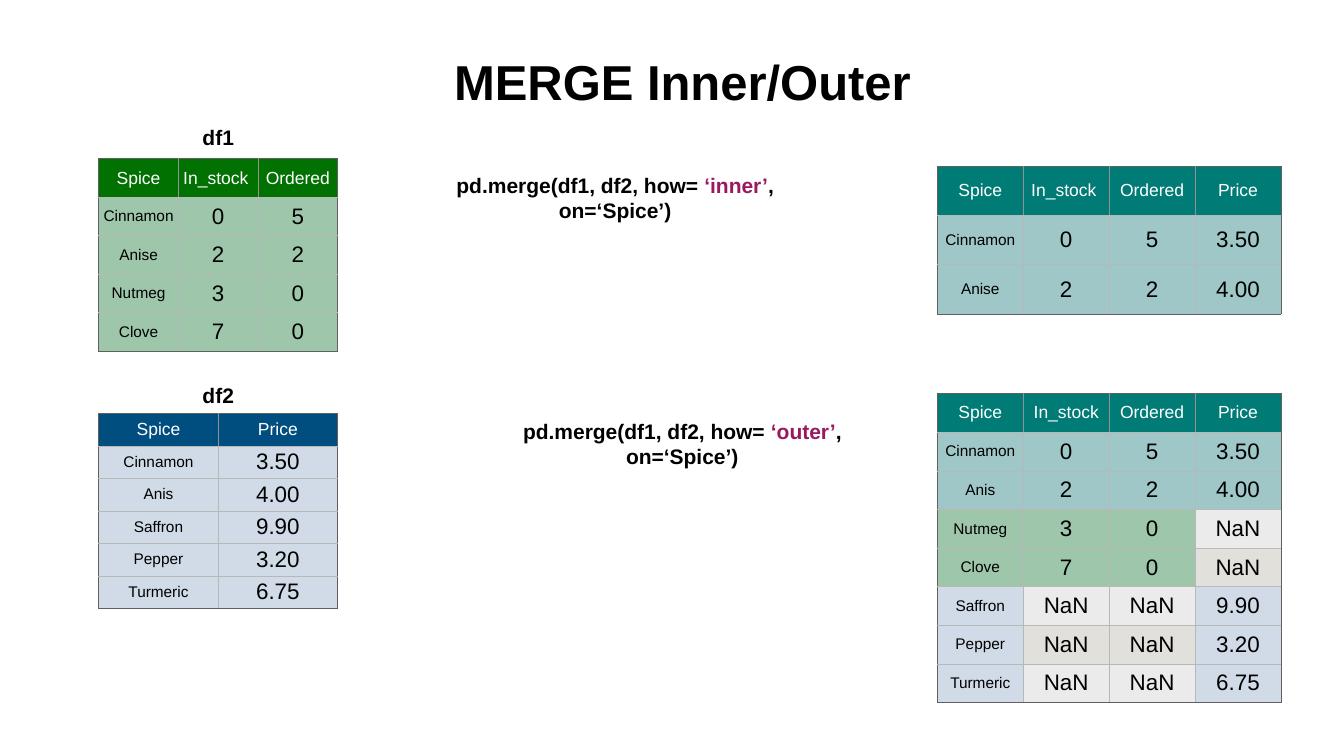
from lxml import etree
from pptx import Presentation
from pptx.dml.color import RGBColor
from pptx.enum.text import MSO_ANCHOR, PP_ALIGN
from pptx.oxml.ns import qn
from pptx.util import Inches, Pt

CENTER = PP_ALIGN.CENTER
MIDDLE = MSO_ANCHOR.MIDDLE
TITLE_ONLY = 5

FONT = "Arial"
INSET = Pt(4)
BLACK, WHITE, ACCENT = "000000", "FFFFFF", "99195E"
GREEN_HEAD, GREEN = "017101", "9EC6AA"
BLUE_HEAD, BLUE = "004D80", "D0DBE7"
TEAL_HEAD, TEAL = "007B76", "9FC7C8"
MISSING = "NaN"
MISSING_FILLS = ("E1E0DA", "EBEBEB")
OUTER_LINE, HEAD_LINE, INNER_LINE = "606060", "929292", "B8B8B8"

# Columns of the page, in inches
FRAME_LEFT, FRAME_WIDTH = 1.96, 4.74
RESULT_LEFT, RESULT_WIDTH = 18.6, 6.82
LABEL_WIDTH, LINE_HEIGHT = 0.75, 0.61
FRAME_HEIGHT = 3.82

STOCK_HEAD = ["Spice", "In_stock ", "Ordered"]
STOCK = [["Cinnamon", "0", "5"], ["Anise", "2", "2"],
         ["Nutmeg", "3", "0"], ["Clove", "7", "0"]]
PRICES = [["Cinnamon", "3.50"], ["Anis", "4.00"], ["Saffron", "9.90"],
          ["Pepper", "3.20"], ["Turmeric", "6.75"]]
INNER = [["Cinnamon", "0", "5", "3.50"], ["Anise", "2", "2", "4.00"]]
MATCHED = [INNER[0], ["Anis", "2", "2", "4.00"]]
STOCK_ONLY = [row + [MISSING] for row in STOCK[2:]]
PRICES_ONLY = [[spice, MISSING, MISSING, price] for spice, price in PRICES[2:]]


def color(value):
    return RGBColor.from_string(value)


def style_font(font, size, hue, bold=False):
    font.name = FONT
    font.size = Pt(size)
    font.bold = bold
    font.color.rgb = color(hue)


def place(shape, left, top, width, height):
    shape.left, shape.top = Inches(left), Inches(top)
    shape.width, shape.height = Inches(width), Inches(height)


def format_frame(frame, size, wrap=False):
    """Centre one bold black line of text in its frame."""
    frame.word_wrap = wrap
    frame.vertical_anchor = MIDDLE
    frame.margin_left = frame.margin_right = INSET
    frame.margin_top = frame.margin_bottom = INSET
    para = frame.paragraphs[0]
    para.alignment = CENTER
    style_font(para.font, size, BLACK, bold=True)
    return para


def add_title(page, text):
    title = page.shapes.title
    place(title, 8.88, 0.98, 9.33, 1.26)
    title.text_frame.text = text
    format_frame(title.text_frame, 70)


def add_label(page, text, top):
    left = FRAME_LEFT + (FRAME_WIDTH - LABEL_WIDTH) / 2
    box = page.shapes.add_textbox(0, 0, 0, 0)
    place(box, left, top, LABEL_WIDTH, LINE_HEIGHT)
    box.text_frame.text = text
    format_frame(box.text_frame, 30)


def add_code(page, how, left, top, width, right_inset=None):
    """Add a merge call; a right inset narrows the text so that it wraps."""
    box = page.shapes.add_textbox(0, 0, 0, 0)
    place(box, left, top, width, LINE_HEIGHT)
    frame = box.text_frame
    para = format_frame(frame, 30, wrap=right_inset is not None)
    if right_inset is not None:
        frame.margin_right = Inches(right_inset)
    para.add_run().text = "pd.merge(df1, df2, how= "
    span = para.add_run()
    span.text = f"‘{how}’"
    span.font.color.rgb = color(ACCENT)
    para.add_run().text = ", on=‘Spice’)"


def set_borders(cell, lines):
    """Draw the left, right, top and bottom lines of a cell."""
    properties = cell._tc.get_or_add_tcPr()
    for index, (side, hue) in enumerate(zip("LRTB", lines)):
        line = etree.Element(qn(f"a:ln{side}"), w=str(Pt(1)))
        fill = etree.SubElement(line, qn("a:solidFill"))
        etree.SubElement(fill, qn("a:srgbClr"), val=hue)
        properties.insert(index, line)


def border_colors(row, column, last_row, last_column):
    upright = HEAD_LINE if row == 0 else INNER_LINE
    level = OUTER_LINE if row == 0 else INNER_LINE
    return (OUTER_LINE if column == 0 else upright,
            OUTER_LINE if column == last_column else upright,
            level,
            OUTER_LINE if row == last_row else level)


def cell_fill(text, row, row_fill):
    return MISSING_FILLS[row % 2] if text == MISSING else row_fill


def add_data_table(page, area, head, head_fill, groups):
    """Add a table whose groups are pairs of a fill and its rows."""
    rows = [(head_fill, head)]
    rows += [(fill, values) for fill, group in groups for values in group]
    graphic = page.shapes.add_table(len(rows), len(head),
                                    *(Inches(length) for length in area))
    table = graphic.table
    table.first_row = table.horz_banding = False
    for r, (row_fill, values) in enumerate(rows):
        for c, text in enumerate(values):
            cell = table.cell(r, c)
            cell.text = text
            cell.vertical_anchor = MIDDLE
            cell.margin_left = cell.margin_right = INSET
            cell.margin_top = cell.margin_bottom = INSET
            cell.fill.solid()
            cell.fill.fore_color.rgb = color(cell_fill(text, r, row_fill))
            para = cell.text_frame.paragraphs[0]
            para.alignment = CENTER
            size = 25 if r == 0 else 22 if c == 0 else 32
            style_font(para.font, size, WHITE if r == 0 else BLACK)
            set_borders(cell, border_colors(r, c, len(rows) - 1, len(head) - 1))


def main():
    deck = Presentation()
    deck.slide_width, deck.slide_height = Inches(26.67), Inches(15)
    page = deck.slides.add_slide(deck.slide_layouts[TITLE_ONLY])

    add_title(page, "MERGE Inner/Outer")
    add_label(page, "df1", 2.41)
    add_data_table(page, (FRAME_LEFT, 3.15, FRAME_WIDTH, FRAME_HEIGHT),
                   STOCK_HEAD, GREEN_HEAD, [(GREEN, STOCK)])
    add_label(page, "df2", 7.53)
    add_data_table(page, (FRAME_LEFT, 8.21, FRAME_WIDTH, FRAME_HEIGHT),
                   ["Spice", "Price"], BLUE_HEAD, [(BLUE, PRICES)])

    add_code(page, "inner", 8.96, 3.62, 8.74, right_inset=2.3)
    add_data_table(page, (RESULT_LEFT, 3.29, RESULT_WIDTH, 2.94),
                   STOCK_HEAD + ["Price"], TEAL_HEAD, [(TEAL, INNER)])
    add_code(page, "outer", 9.15, 8.5, 8.78)
    add_data_table(page, (RESULT_LEFT, 7.81, RESULT_WIDTH, 6.13),
                   ["Spice", "In_stock", "Ordered", "Price"], TEAL_HEAD,
                   [(TEAL, MATCHED), (GREEN, STOCK_ONLY), (BLUE, PRICES_ONLY)])

    deck.save("out.pptx")


if __name__ == "__main__":
    main()
